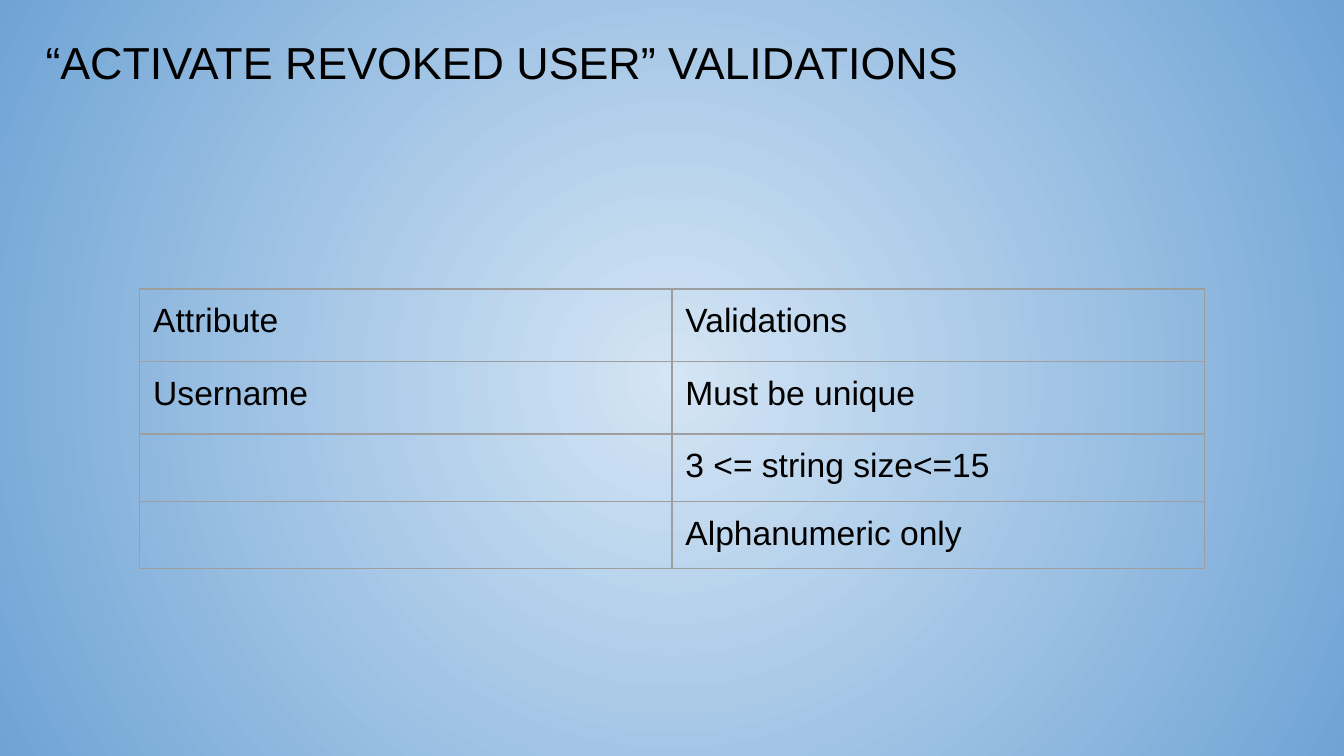
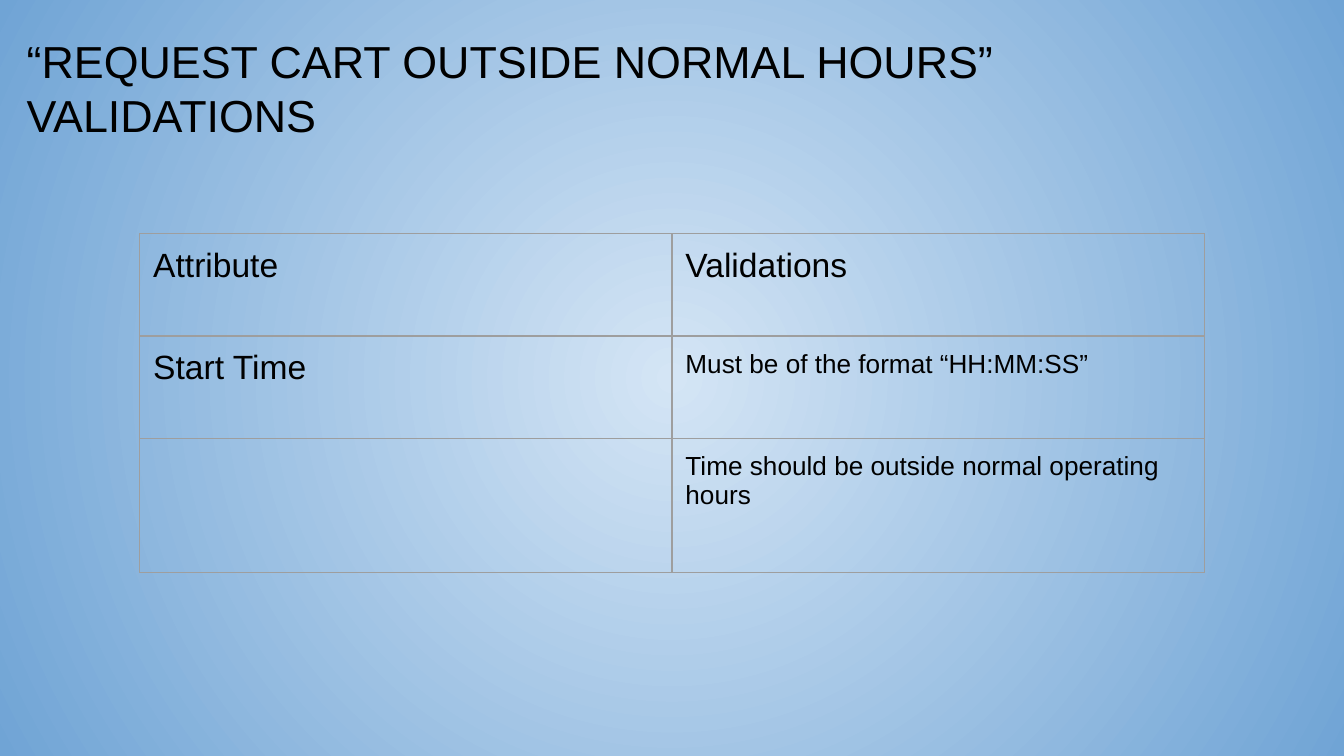
"""Builds two slides of validation tables on a radial blue background."""
from pptx import Presentation
from pptx.dml.color import RGBColor
from pptx.enum.text import MSO_ANCHOR
from pptx.oxml import parse_xml
from pptx.oxml.ns import nsdecls, qn
from pptx.util import Inches, Pt

TOP = MSO_ANCHOR.TOP
COLORS = {"center": "D4E5F5", "edge": "70A4D5", "text": "000000", "border": "9E9E9E"}
FONT = "Arial"
TITLE_SIZE, LARGE, SMALL = 24, 18, 14
TABLE_LEFT, COLUMN_WIDTH = 1.04, 3.96
FRAME_FORMAT = {
    "margin_left": Inches(0.1),
    "margin_right": Inches(0.1),
    "margin_top": Inches(0.1),
    "margin_bottom": Inches(0.1),
    "vertical_anchor": TOP,
}
GRADIENT = f"""<a:gradFill {nsdecls("a")} rotWithShape="1"><a:gsLst>
<a:gs pos="0"><a:srgbClr val="{COLORS["center"]}"/></a:gs>
<a:gs pos="100000"><a:srgbClr val="{COLORS["edge"]}"/></a:gs></a:gsLst>
<a:path path="circle"><a:fillToRect l="50000" t="50000" r="50000" b="50000"/></a:path>
</a:gradFill>"""

SLIDES = [
    {
        "title": "“ACTIVATE REVOKED USER” VALIDATIONS",
        "title_box": (0.24, 0.16, 9.45, 0.82),
        "table_top": 2.15,
        "row_heights": [0.54, 0.54, 0.42, 0.42],
        "rule_size": LARGE,
        "rows": [
            ("Attribute", "Validations"),
            ("Username", "Must be unique"),
            ("", "3 <= string size<=15"),
            ("", "Alphanumeric only"),
        ],
    },
    {
        "title": "“REQUEST CART OUTSIDE NORMAL HOURS” VALIDATIONS",
        "title_box": (0.1, 0.15, 9.58, 0.81),
        "table_top": 1.74,
        "row_heights": [0.76, 0.76, 1],
        "rule_size": SMALL,
        "rows": [
            ("Attribute", "Validations"),
            ("Start Time", "Must be of the format “HH:MM:SS”"),
            ("", "Time should be outside normal operating hours"),
        ],
    },
]


def write_text(holder, text_frame, text, size):
    for name, value in FRAME_FORMAT.items():
        setattr(holder, name, value)
    text_frame.word_wrap = True
    if text:
        run = text_frame.paragraphs[0].add_run()
        run.text = text
        for name, value in {"name": FONT, "size": Pt(size), "bold": False}.items():
            setattr(run.font, name, value)
        run.font.color.rgb = RGBColor.from_string(COLORS["text"])


def finish_cells(table_frame):
    for properties in table_frame.element.iter(qn("a:tcPr")):
        for position, side in enumerate(("lnL", "lnR", "lnT", "lnB")):
            properties.insert(position, parse_xml(
                f'<a:{side} {nsdecls("a")} w="{Pt(0.75)}"><a:solidFill>'
                f'<a:srgbClr val="{COLORS["border"]}"/></a:solidFill></a:{side}>'))
    for paragraph in table_frame.element.iter(qn("a:p")):
        if paragraph.find(qn("a:r")) is None:
            paragraph.append(parse_xml(
                f'<a:endParaRPr {nsdecls("a")} sz="{LARGE * 100}">'
                f'<a:latin typeface="{FONT}"/></a:endParaRPr>'))


presentation = Presentation()
presentation.slide_width = Inches(10)
presentation.slide_height = Inches(10 * 9 / 16)

for content in SLIDES:
    slide = presentation.slides.add_slide(presentation.slide_layouts[6])
    slide.background.fill.gradient()
    gradient = next(slide.element.iter(qn("a:gradFill")))
    gradient.getparent().replace(gradient, parse_xml(GRADIENT))

    title_box = slide.shapes.add_textbox(*map(Inches, content["title_box"]))
    write_text(title_box.text_frame, title_box.text_frame, content["title"], TITLE_SIZE)

    rows, heights = content["rows"], content["row_heights"]
    table_frame = slide.shapes.add_table(
        len(rows), 2, Inches(TABLE_LEFT), Inches(content["table_top"]),
        Inches(2 * COLUMN_WIDTH), Inches(sum(heights)))
    table = table_frame.table
    table.first_row = False
    table.horz_banding = False
    for column in table.columns:
        column.width = Inches(COLUMN_WIDTH)
    for row_index, (texts, height) in enumerate(zip(rows, heights)):
        table.rows[row_index].height = Inches(height)
        for column_index, text in enumerate(texts):
            cell = table.cell(row_index, column_index)
            cell.fill.background()
            is_rule = row_index > 0 and column_index == 1
            size = content["rule_size"] if is_rule else LARGE
            write_text(cell, cell.text_frame, text, size)
    finish_cells(table_frame)

presentation.save("out.pptx")
